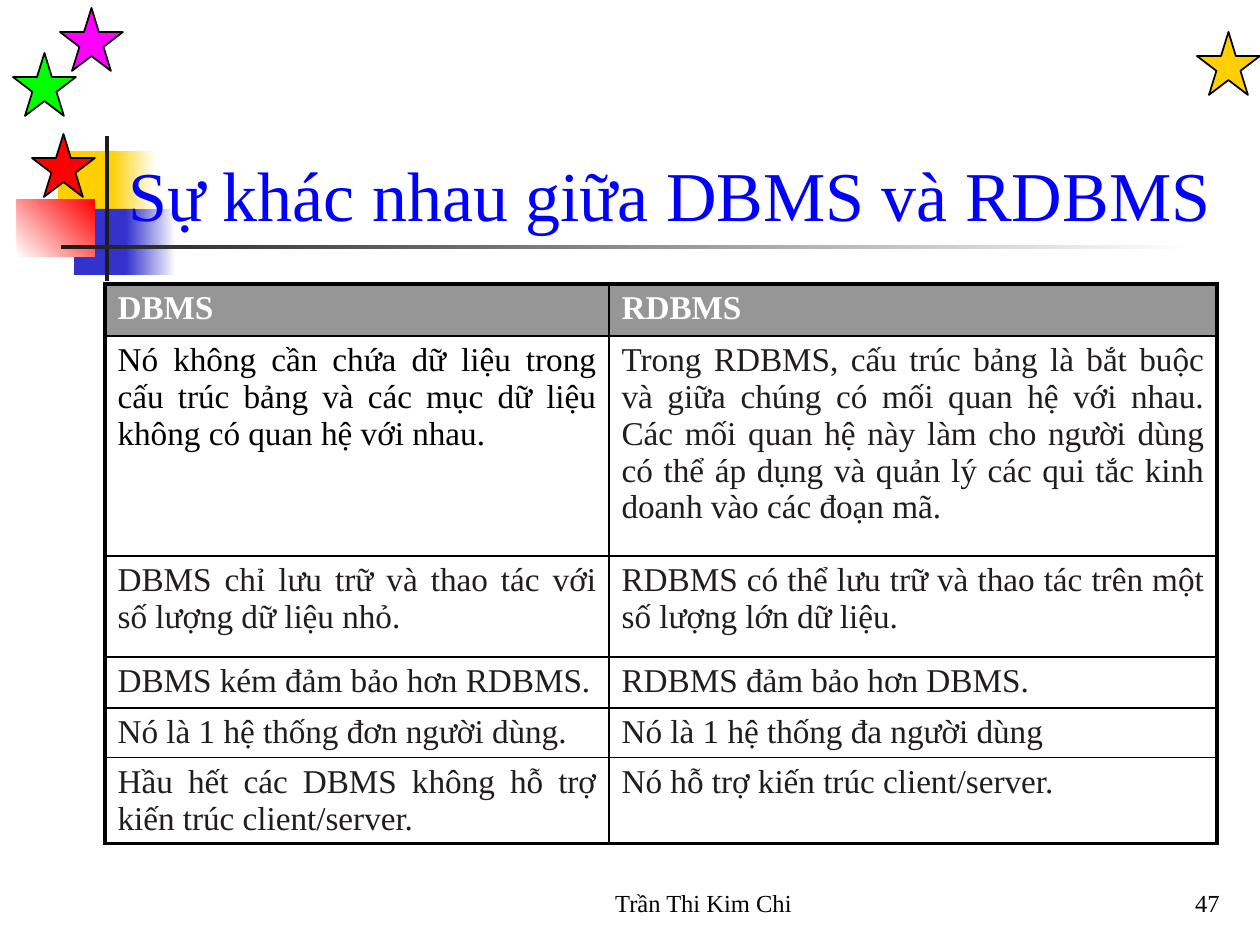
"""Build the slide comparing DBMS with RDBMS."""
from lxml import etree
from pptx import Presentation
from pptx.dml.color import RGBColor
from pptx.enum.shapes import MSO_SHAPE
from pptx.enum.text import MSO_ANCHOR, PP_ALIGN
from pptx.oxml.ns import qn
from pptx.util import Emu, Pt

RECT, STAR = MSO_SHAPE.RECTANGLE, MSO_SHAPE.STAR_5_POINT
LEFT, CENTER, RIGHT, JUSTIFY = PP_ALIGN.LEFT, PP_ALIGN.CENTER, PP_ALIGN.RIGHT, PP_ALIGN.JUSTIFY
BOTTOM = MSO_ANCHOR.BOTTOM

BLACK = RGBColor(0x00, 0x00, 0x00)
WHITE = RGBColor(0xFF, 0xFF, 0xFF)
GOLD = RGBColor(0xFF, 0xCF, 0x01)
INDIGO = RGBColor(0x33, 0x33, 0xCC)
RED = RGBColor(0xFF, 0x00, 0x00)
GREEN = RGBColor(0x00, 0xFF, 0x00)
MAGENTA = RGBColor(0xFF, 0x00, 0xFF)
BLUE = RGBColor(0x00, 0x00, 0xFF)
CHARCOAL = RGBColor(0x1C, 0x1C, 0x1C)
INK = RGBColor(0x21, 0x1D, 0x1E)
GRAY = RGBColor(0x96, 0x96, 0x96)

FONT = "Times New Roman"
PX_PER_INCH = 126
OUTER, INNER = 2.25, 1

BLOCKS = [
    ((58, 151, 60, 66), (GOLD,), 0),
    ((111, 151, 45, 66), (GOLD, WHITE), 0),
    ((74, 209, 58, 66), (INDIGO,), 0),
    ((126, 209, 50, 66), (INDIGO, WHITE), 0),
    ((17, 199, 78, 58), (WHITE, RED), 45),
    ((105, 136, 4, 145), (CHARCOAL,), 0),
    ((61, 245, 1134, 4), (CHARCOAL, WHITE), 0),
]
STAR_SIZE = 63
STARS = [(1197, 32, GOLD), (32, 134, RED), (13, 53, GREEN), (60, 8, MAGENTA)]

LABELS = [
    ("Sự khác nhau giữa DBMS và RDBMS", (116, 84, 1113, 158), 40, BLUE, LEFT),
    ("Trần Thi Kim Chi", (504, 861, 399, 63), 14, BLACK, CENTER),
    ("47", (970, 861, 262, 63), 14, BLACK, RIGHT),
]

TABLE_LEFT, TABLE_TOP = 105, 284
COLUMN_WIDTHS = [504, 608]
ROW_HEIGHTS = [52, 220, 101, 51, 49, 86]
COMPARISON = [
    ("DBMS", "RDBMS"),
    ("Nó không cần chứa dữ liệu trong cấu trúc bảng và các mục dữ liệu không có quan hệ với nhau.",
     "Trong RDBMS, cấu trúc bảng là bắt buộc và giữa chúng có mối quan hệ với nhau. "
     "Các mối quan hệ này làm cho người dùng có thể áp dụng và quản lý các qui tắc "
     "kinh doanh vào các đoạn mã."),
    ("DBMS chỉ lưu trữ và thao tác với số lượng dữ liệu nhỏ.",
     "RDBMS có thể lưu trữ và thao tác trên một số lượng lớn dữ liệu."),
    ("DBMS kém đảm bảo hơn RDBMS.", "RDBMS đảm bảo hơn DBMS."),
    ("Nó là 1 hệ thống đơn người dùng.", "Nó là 1 hệ thống đa người dùng"),
    ("Hầu hết các DBMS không hỗ trợ kiến trúc client/server.",
     "Nó hỗ trợ kiến trúc client/server."),
]


def px(length):
    return Emu(round(length * 914400 / PX_PER_INCH))


def write(frame, text, size, color, align, bold=False):
    paragraph = frame.paragraphs[0]
    paragraph.alignment = align
    run = paragraph.add_run()
    run.text = text
    run.font.name = FONT
    run.font.size = Pt(size)
    run.font.bold = bold
    run.font.color.rgb = color


def add_ornament(slide, kind, box, colors, angle=0):
    ornament = slide.shapes.add_shape(kind, *map(px, box))
    ornament.shadow.inherit = False
    ornament.line.fill.background()
    if len(colors) == 1:
        ornament.fill.solid()
        ornament.fill.fore_color.rgb = colors[0]
    else:
        ornament.fill.gradient()
        ornament.fill.gradient_angle = angle
        for stop, color in zip(ornament.fill.gradient_stops, colors):
            stop.color.rgb = color
    return ornament


def set_borders(cell, widths):
    properties = cell._tc.get_or_add_tcPr()
    for index, (side, width) in enumerate(zip("LRTB", widths)):
        border = etree.Element(qn(f"a:ln{side}"), w=str(Pt(width)))
        fill = etree.SubElement(border, qn("a:solidFill"))
        etree.SubElement(fill, qn("a:srgbClr"), val=str(BLACK))
        properties.insert(index, border)


def add_comparison(slide):
    row_count, column_count = len(ROW_HEIGHTS), len(COLUMN_WIDTHS)
    table = slide.shapes.add_table(
        row_count, column_count, px(TABLE_LEFT), px(TABLE_TOP),
        px(sum(COLUMN_WIDTHS)), px(sum(ROW_HEIGHTS))).table
    table.first_row = table.horz_banding = False
    for column, width in zip(table.columns, COLUMN_WIDTHS):
        column.width = px(width)
    for r, (row, height, texts) in enumerate(zip(table.rows, ROW_HEIGHTS, COMPARISON)):
        row.height = px(height)
        for c, text in enumerate(texts):
            cell = table.cell(r, c)
            header = r == 0
            if header:
                cell.fill.solid()
                cell.fill.fore_color.rgb = GRAY
                color = WHITE
            else:
                cell.fill.background()
                color = BLACK if (r, c) == (1, 0) else INK
            write(cell.text_frame, text, 19, color, JUSTIFY, header)
            edges = (c == 0, c == column_count - 1, header, r == row_count - 1)
            set_borders(cell, [OUTER if edge else INNER for edge in edges])


def main():
    deck = Presentation()
    deck.slide_width, deck.slide_height = px(1260), px(945)
    slide = deck.slides.add_slide(deck.slide_layouts[6])
    for box, colors, angle in BLOCKS:
        add_ornament(slide, RECT, box, colors, angle)
    for left, top, color in STARS:
        star = add_ornament(slide, STAR, (left, top, STAR_SIZE, STAR_SIZE), (color,))
        star.line.color.rgb = BLACK
        star.line.width = Pt(1)
    add_comparison(slide)
    for text, box, size, color, align in LABELS:
        frame = slide.shapes.add_textbox(*map(px, box)).text_frame
        frame.word_wrap = True
        frame.vertical_anchor = BOTTOM
        write(frame, text, size, color, align)
    deck.save("out.pptx")


if __name__ == "__main__":
    main()
